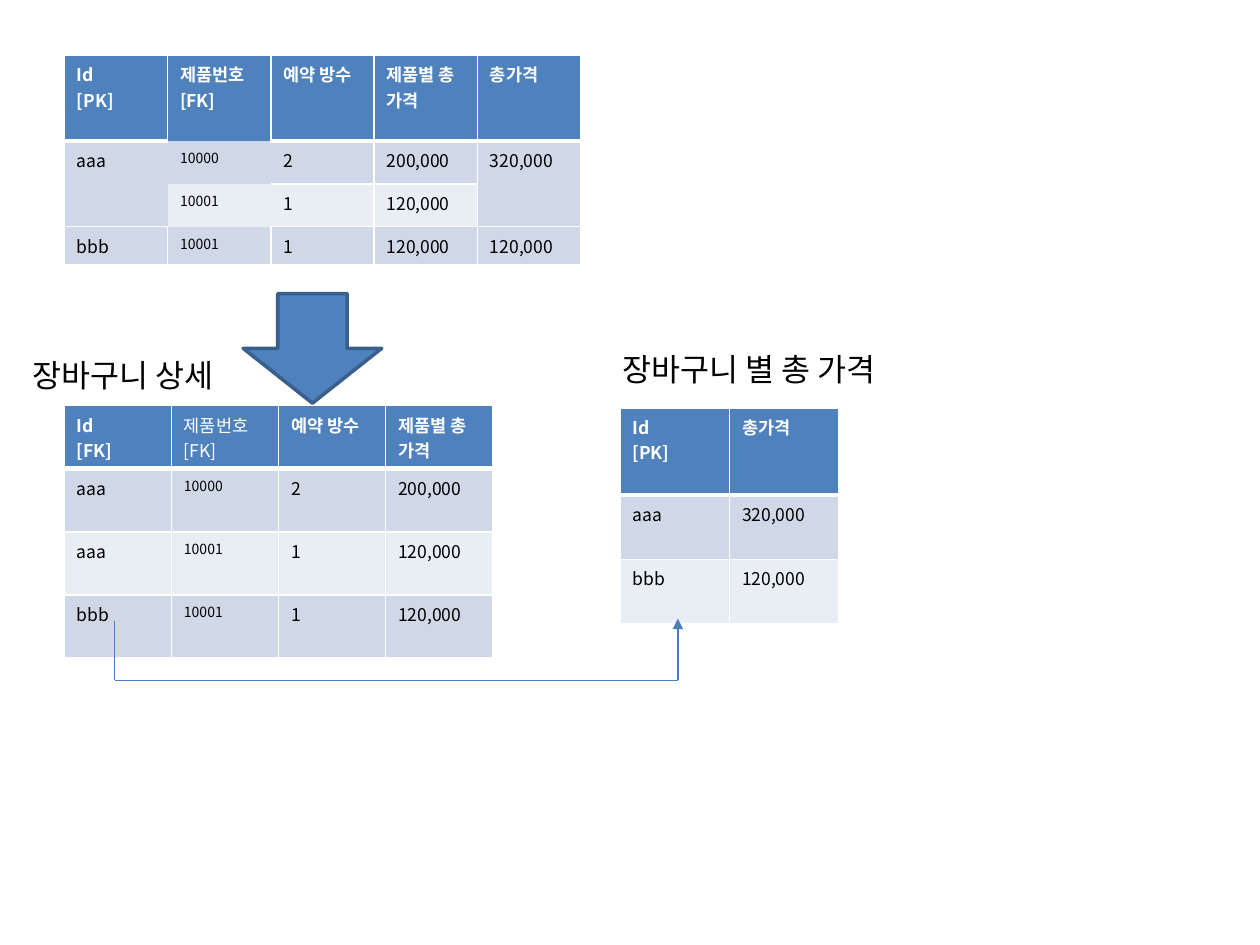
import lxml.etree
import pptx
import pptx.dml.color
import pptx.enum.shapes
import pptx.oxml.ns
import pptx.util

Inches = pptx.util.Inches
Pt = pptx.util.Pt
RGB = pptx.dml.color.RGBColor
qn = pptx.oxml.ns.qn

WHITE = RGB(0xFF, 0xFF, 0xFF)
BLACK = RGB(0, 0, 0)
BLUE = RGB(0x4F, 0x81, 0xBD)
EDGE = RGB(0x3A, 0x5F, 0x8C)
WIRE = RGB(0x4B, 0x7E, 0xBC)
BANDS = (RGB(0xE9, 0xED, 0xF4), RGB(0xD0, 0xD8, 0xE8))


class Page:
    """Draw styled elements on one slide."""

    font = "Noto Sans CJK KR"

    def __init__(self, slide):
        self.slide = slide
        self.shapes = slide.shapes

    def style(self, frame, size, color, bold=False):
        for para in frame.paragraphs:
            for run in para.runs:
                run.font.size = Pt(size)
                run.font.bold = bold
                run.font.color.rgb = color
                run.font.name = self.font
                east = lxml.etree.SubElement(run.font._element, qn("a:ea"))
                east.set("typeface", self.font)

    def label(self, left, top, width, text):
        box = self.shapes.add_textbox(
            Inches(left), Inches(top), Inches(width), Inches(0.4))
        box.text_frame.word_wrap = True
        box.text_frame.text = text
        self.style(box.text_frame, 18, BLACK)

    def border(self, cell, sides, head):
        props = cell._tc.get_or_add_tcPr()
        for side in "LRTB":
            line = lxml.etree.SubElement(props, qn("a:ln" + side))
            if side not in sides:
                line.set("w", "0")
                lxml.etree.SubElement(line, qn("a:noFill"))
                continue
            line.set("w", str(Pt(3 if head and side == "B" else 1)))
            fill = lxml.etree.SubElement(line, qn("a:solidFill"))
            lxml.etree.SubElement(fill, qn("a:srgbClr")).set("val", str(WHITE))

    def table(self, left, top, wide, highs, rows, small=None, plain=None,
              spans=(), sides=None):
        sides = sides or {}
        count = len(rows[0])
        grid = self.shapes.add_table(
            len(rows), count, Inches(left), Inches(top),
            Inches(wide * count), Inches(sum(highs))).table
        for col in grid.columns:
            col.width = Inches(wide)
        for row, high in zip(grid.rows, highs):
            row.height = Inches(high)
        for y, row in enumerate(rows):
            head = y == 0
            for x, text in enumerate(row):
                cell = grid.cell(y, x)
                self.border(cell, sides.get((y, x), "LRTB"), head)
                cell.fill.solid()
                cell.fill.fore_color.rgb = BLUE if head else BANDS[y % 2]
                cell.text_frame.text = text
                size = 8 if x == small and not head else 10
                self.style(cell.text_frame, size, WHITE if head else BLACK,
                           head and x != plain)
        for y, x in spans:
            grid.cell(y, x).merge(grid.cell(y + 1, x))

    def arrow(self, left, top, width, height):
        shape = self.shapes.add_shape(
            pptx.enum.shapes.MSO_SHAPE.DOWN_ARROW,
            Inches(left), Inches(top), Inches(width), Inches(height))
        shape.shadow.inherit = False
        shape.fill.solid()
        shape.fill.fore_color.rgb = BLUE
        shape.line.color.rgb = EDGE
        shape.line.width = Pt(2)

    def wire(self, start, end, tip=False):
        line = self.shapes.add_connector(
            pptx.enum.shapes.MSO_CONNECTOR.STRAIGHT,
            *map(Inches, start + end))
        line.line.color.rgb = WIRE
        line.line.width = Pt(0.75)
        if tip:
            tail = lxml.etree.SubElement(
                line.line._get_or_add_ln(), qn("a:tailEnd"))
            tail.set("type", "triangle")
        lxml.etree.SubElement(line._element.spPr, qn("a:effectLst"))


deck = pptx.Presentation()
deck.slide_width = Inches(10)
deck.slide_height = Inches(7.5)
page = Page(deck.slides.add_slide(deck.slide_layouts[6]))

HEADS = ["제품번호[FK]", "예약 방수", "제품별 총 가격"]
FIRST = ["10000", "2", "200,000"]
OTHER = ["10001", "1", "120,000"]

page.table(
    0.51, 0.44, 0.82, [0.68, 0.34, 0.34, 0.3],
    [["Id\v[PK]", *HEADS, "총가격"],
     ["aaa", *FIRST, "320,000"],
     ["", *OTHER, ""],
     ["bbb", *OTHER, "120,000"]],
    small=1, spans=[(1, 0), (1, 4)],
    sides={(0, 1): "LRT", (1, 0): "LTB", (2, 0): "LTB", (1, 1): "",
           (2, 1): "", (1, 2): "RTB", (2, 2): "RTB", (3, 1): "LRB"})
page.arrow(1.93, 2.33, 1.1, 0.87)
page.table(
    0.51, 3.22, 0.85, [0.5] * 4,
    [["Id\v[FK]", *HEADS], ["aaa", *FIRST], ["aaa", *OTHER],
     ["bbb", *OTHER]],
    small=1, plain=1)
page.table(
    4.92, 3.24, 0.87, [0.69, 0.51, 0.51],
    [["Id\v[PK]", "총가격"], ["aaa", "320,000"], ["bbb", "120,000"]])

page.wire((0.91, 4.93), (0.91, 5.4))
page.wire((0.91, 5.4), (5.38, 5.4))
page.wire((5.38, 5.4), (5.38, 4.91), tip=True)

page.label(0.16, 2.78, 2.05, "장바구니 상세")
page.label(4.84, 2.73, 2.68, "장바구니 별 총 가격")

deck.save("out.pptx")
